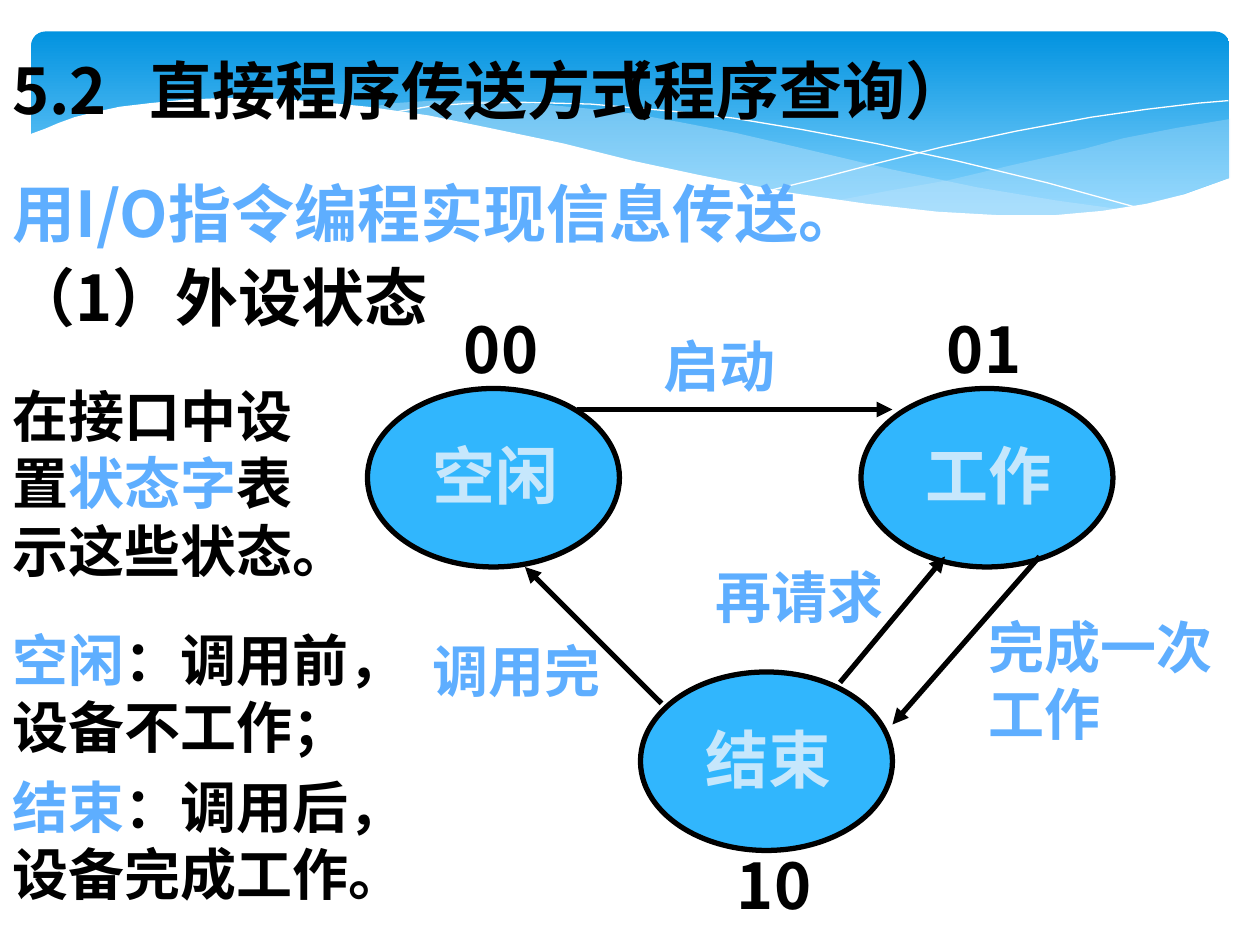
from lxml import etree
from pptx import Presentation
from pptx.dml.color import RGBColor
from pptx.enum.lang import MSO_LANGUAGE_ID
from pptx.enum.shapes import MSO_CONNECTOR, MSO_SHAPE
from pptx.enum.text import MSO_AUTO_SIZE
from pptx.oxml.ns import qn
from pptx.util import Pt

ROUND = MSO_SHAPE.ROUNDED_RECTANGLE
OVAL = MSO_SHAPE.OVAL
STRAIGHT = MSO_CONNECTOR.STRAIGHT
GROW = MSO_AUTO_SIZE.SHAPE_TO_FIT_TEXT
CHINESE = MSO_LANGUAGE_ID.SIMPLIFIED_CHINESE
BLACK = RGBColor(0, 0, 0)
WHITE = RGBColor(255, 255, 255)
DEEP = RGBColor(0x02, 0x93, 0xE0)
LIGHT = RGBColor(0x83, 0xD3, 0xFE)
PALE = RGBColor(0xC6, 0xE7, 0xFC)
SKY = RGBColor(0x31, 0xB6, 0xFD)
BLUE = RGBColor(0x5E, 0xAE, 0xFF)
LATIN, HAN = "Calibri", "Noto Sans CJK SC"

RIGHT_WAVE = [
    (703, 68), (673, 73), (642, 79), (620, 85), (580, 94), (542, 103),
    (508, 109), (476, 115), (508, 119), (536, 122), (570, 124), (601, 124),
    (628, 122), (652, 117.5), (673, 112), (703, 101.5)]
LONG_WAVE = [
    (643, 120), (603, 114.5), (558, 107), (508, 96.5), (453, 83.5),
    (420.5, 76), (389.5, 70), (361.5, 65), (335, 62), (302.5, 59),
    (273.5, 57.5), (247.5, 57.5), (225.5, 59), (206, 62), (232.5, 65),
    (260.5, 70), (291, 76), (323.5, 83.5), (381.5, 97), (420.5, 105),
    (456.5, 112.5), (489.5, 117.5), (520, 121), (548, 123), (581, 124.5),
    (610.5, 124)]
FALL_LINE = [
    (222.5, 65), (229, 63.5), (247.5, 60.5), (269.5, 59), (299.5, 58.5),
    (337.5, 59.5), (383.5, 63.5), (419, 67.5), (458, 74), (500.5, 82),
    (547, 92), (598.5, 104.5), (653, 119.5)]
RISE_LINE = [
    (441.5, 108.5), (470, 101.5), (500.5, 93.5), (538.5, 84), (580.5, 75),
    (623.5, 67), (655, 62.5), (684.5, 59), (702, 57.5)]
WHITE_WAVE = [
    (703.5, 101.5), (677, 111), (655, 116.5), (630, 120.5), (602.5, 123),
    (571, 123), (535.5, 121), (495.5, 116.5), (450.5, 110), (399.5, 100),
    (362, 92), (322, 82), (281.5, 73.5), (245, 66), (210, 61), (180, 58),
    (152, 56), (127.5, 56), (105, 57), (85.5, 59), (68.5, 61), (54.5, 64),
    (42.5, 67), (33, 70.5), (26, 73.5), (16.5, 77), (16.5, 161),
    (703.5, 161)]


def add_panel(slide):
    """Draw the rounded panel with its gradient."""
    panel = slide.shapes.add_shape(ROUND, Pt(18), Pt(18), Pt(684.5), Pt(112.5))
    panel.adjustments[0] = 0.07
    panel.shadow.inherit = False
    panel.line.fill.background()
    panel.fill.gradient()
    panel.fill.gradient_angle = 270
    for stop, place, color in zip(panel.fill.gradient_stops, (0, 0.9), (DEEP, LIGHT)):
        stop.position = place
        stop.color.rgb = color


def add_curve(slide, points, fill=None, alpha=100):
    """Draw a filled wave, or a thin white curve when no fill is given."""
    start, *rest = [(Pt(x), Pt(y)) for x, y in points]
    pen = slide.shapes.build_freeform(*start)
    pen.add_line_segments(rest, close=fill is not None)
    curve = pen.convert_to_shape()
    curve.shadow.inherit = False
    if fill is None:
        curve.fill.background()
        curve.line.color.rgb = WHITE
        curve.line.width = Pt(0)
        return
    curve.line.fill.background()
    curve.fill.solid()
    curve.fill.fore_color.rgb = fill
    if alpha < 100:
        tint = curve.fill._xPr.find(".//" + qn("a:srgbClr"))
        etree.SubElement(tint, qn("a:alpha"), val=str(alpha * 1000))


def add_text(slide, lines, left, top, width, height, size=32, font=LATIN,
             color=BLACK, spacing=None, gap=0, tab=None):
    """Add a text box; each line is a string or a list of (text, color)."""
    box = slide.shapes.add_textbox(Pt(left), Pt(top), Pt(width), Pt(height))
    frame = box.text_frame
    frame.word_wrap = True
    frame.auto_size = GROW
    for index, line in enumerate(lines):
        para = frame.paragraphs[0] if index == 0 else frame.add_paragraph()
        if spacing:
            para.line_spacing = spacing
        if index:
            para.space_before = Pt(gap)
        if tab:
            tabs = etree.SubElement(para._p.get_or_add_pPr(), qn("a:tabLst"))
            etree.SubElement(tabs, qn("a:tab"), pos=str(Pt(tab)), algn="l")
        for text, tone in [(line, color)] if isinstance(line, str) else line:
            run = para.add_run()
            run.text = text
            run.font.size = Pt(size)
            run.font.bold = True
            run.font.name = font
            run.font.language_id = CHINESE
            run.font.color.rgb = tone
            etree.SubElement(run.font._element, qn("a:ea"), typeface=font)


def add_state(slide, name, left, top):
    """Draw one state as an ellipse with its name."""
    oval = slide.shapes.add_shape(OVAL, Pt(left), Pt(top), Pt(144), Pt(102))
    oval.shadow.inherit = False
    oval.fill.solid()
    oval.fill.fore_color.rgb = SKY
    oval.line.color.rgb = BLACK
    oval.line.width = Pt(3)
    add_text(slide, [name], left + 30, top + 24, 132, 50.5, size=36, color=PALE)


def add_arrow(slide, *ends):
    """Draw a black arrow between two points."""
    arrow = slide.shapes.add_connector(STRAIGHT, *[Pt(end) for end in ends])
    arrow.line.color.rgb = BLACK
    arrow.line.width = Pt(3)
    etree.SubElement(arrow.line._get_or_add_ln(), qn("a:tailEnd"), type="triangle")
    etree.SubElement(arrow._element.spPr, qn("a:effectLst"))


def main():
    """Build the slide and save it."""
    deck = Presentation()
    deck.slide_width, deck.slide_height = Pt(720), Pt(540)
    slide = deck.slides.add_slide(deck.slide_layouts[6])

    add_panel(slide)
    add_curve(slide, RIGHT_WAVE, PALE, 29)
    add_curve(slide, LONG_WAVE, PALE, 40)
    add_curve(slide, FALL_LINE)
    add_curve(slide, RISE_LINE)
    add_curve(slide, WHITE_WAVE, WHITE)

    head = {"size": 36, "font": HAN}
    add_text(slide, ["5.2\t直接程序传送方式"], 0, 26, 540, 50.5, tab=78.5, **head)
    add_text(slide, ["用I/O指令编程实现信息传送。"], 0, 96, 540, 50.5, color=BLUE, **head)
    add_text(slide, ["（程序查询）"], 330.5, 26, 323, 50.5, **head)
    add_text(slide, ["（1）外设状态"], 0, 144, 336, 50.5, **head)

    for name, left, top in [("空闲", 210, 222), ("工作", 492, 222), ("结束", 366, 384)]:
        add_state(slide, name, left, top)
    for ends in [(330, 234, 510, 234), (594, 318, 510, 414),
                 (378, 402, 300, 324), (480, 390, 540, 318)]:
        add_arrow(slide, *ends)
    for label, left, top in [("启动", 372, 186), ("调用完", 240, 360), ("再请求", 402, 318)]:
        add_text(slide, [label], left, top, 144, 45.5, color=BLUE)
    for code, left, top in [("00", 258, 174), ("01", 534, 174), ("10", 414, 480)]:
        add_text(slide, [code], left, top, 72, 50.5, **head)

    tight = {"spacing": 0.6, "gap": 15.5}
    add_text(slide, ["完成一次", "工作"], 558, 360, 198, 73, color=BLUE, **tight)
    for name, note, top in [("空闲", "：调用前，设备不工作；", 354),
                            ("结束", "：调用后，设备完成工作。", 438)]:
        add_text(slide, [[(name, BLUE), (note, BLACK)]], 0, top, 252, 84)
    status = ["在接口中设", [("置", BLACK), ("状态字", BLUE), ("表", BLACK)], "示这些状态。"]
    add_text(slide, status, 0, 228, 252, 114.5, **tight)

    deck.save("out.pptx")


if __name__ == "__main__":
    main()
